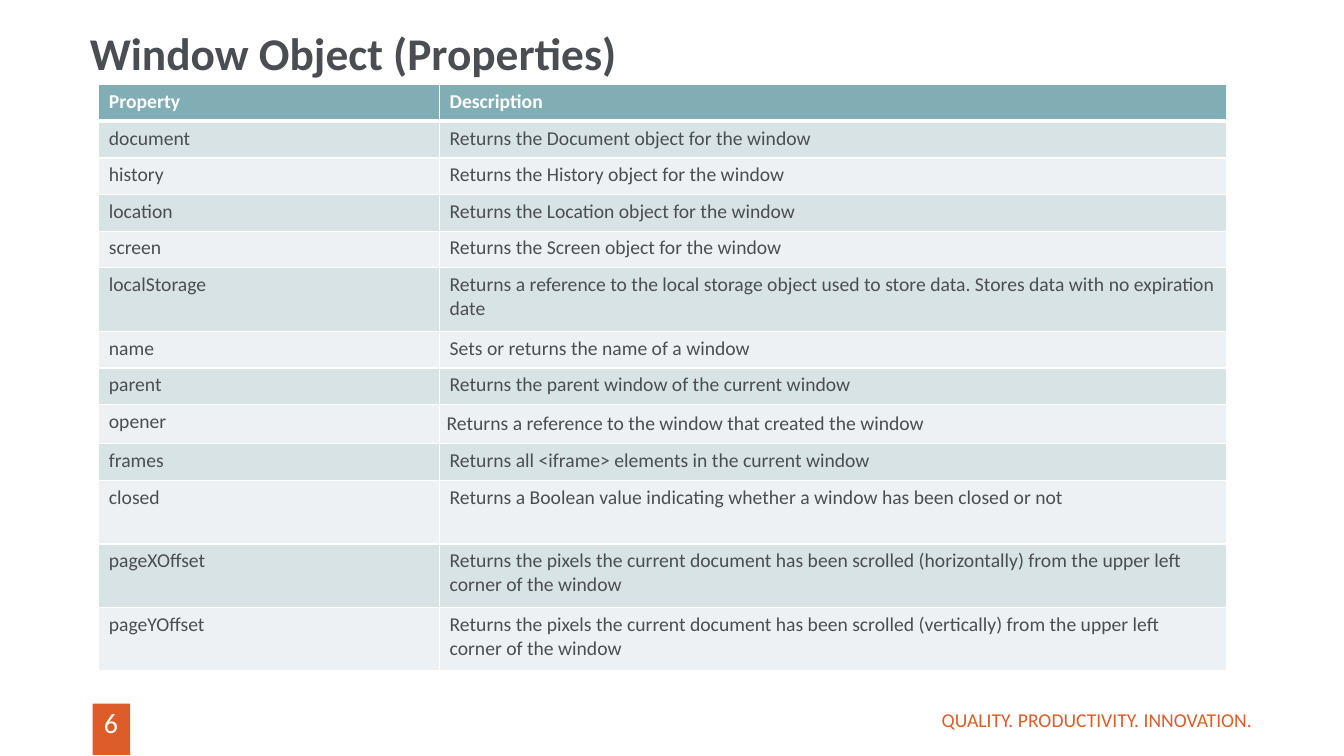
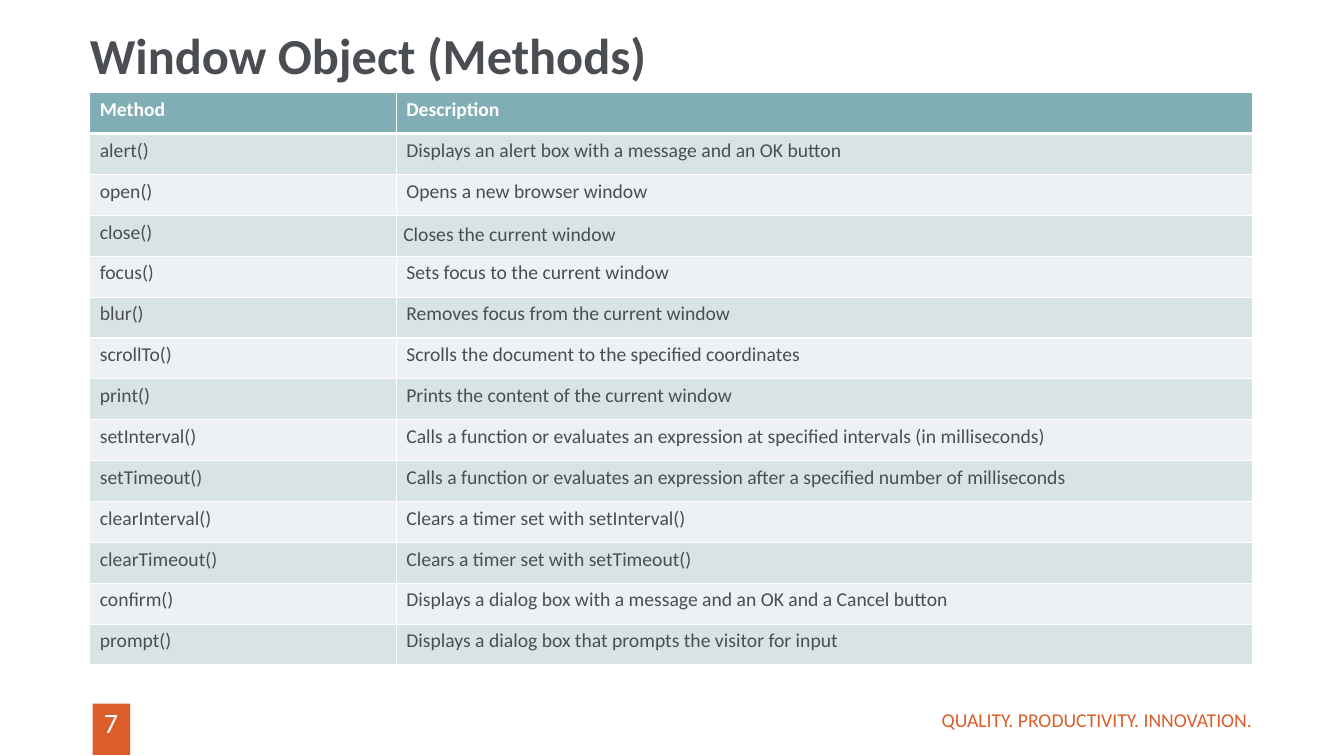
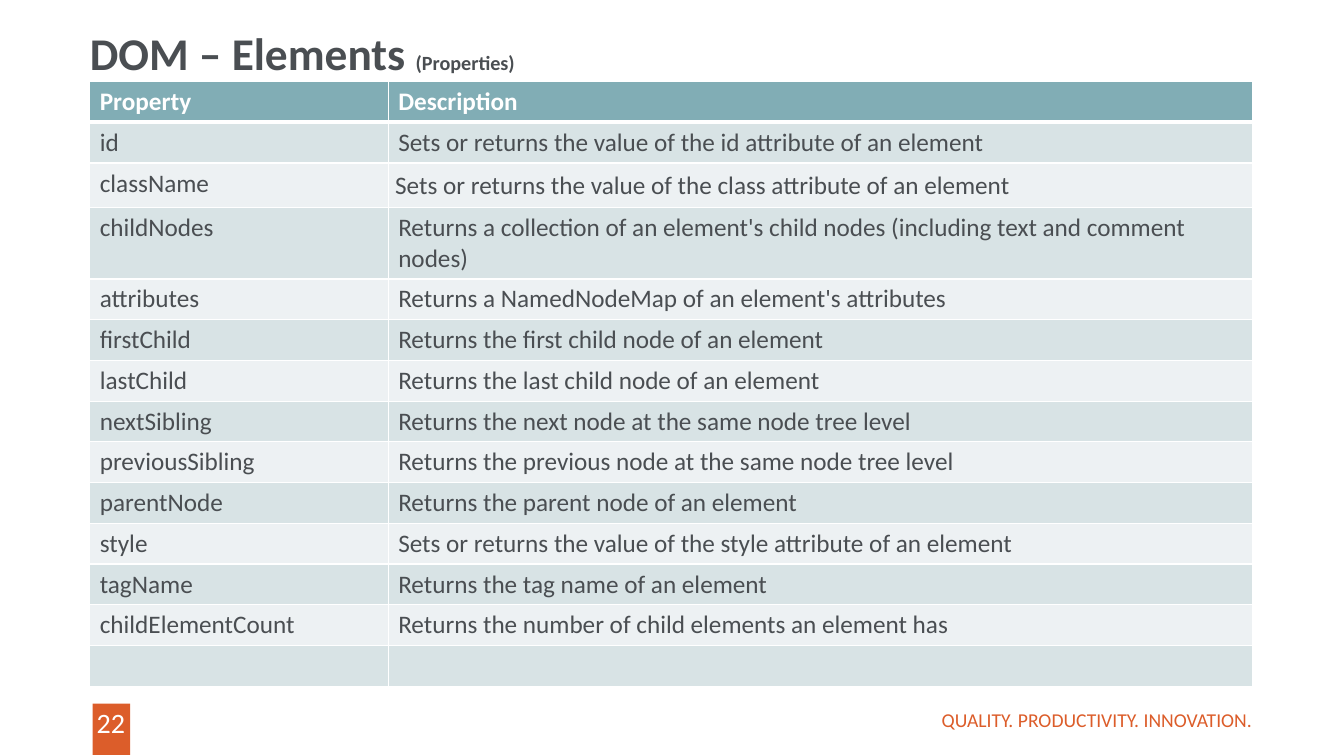
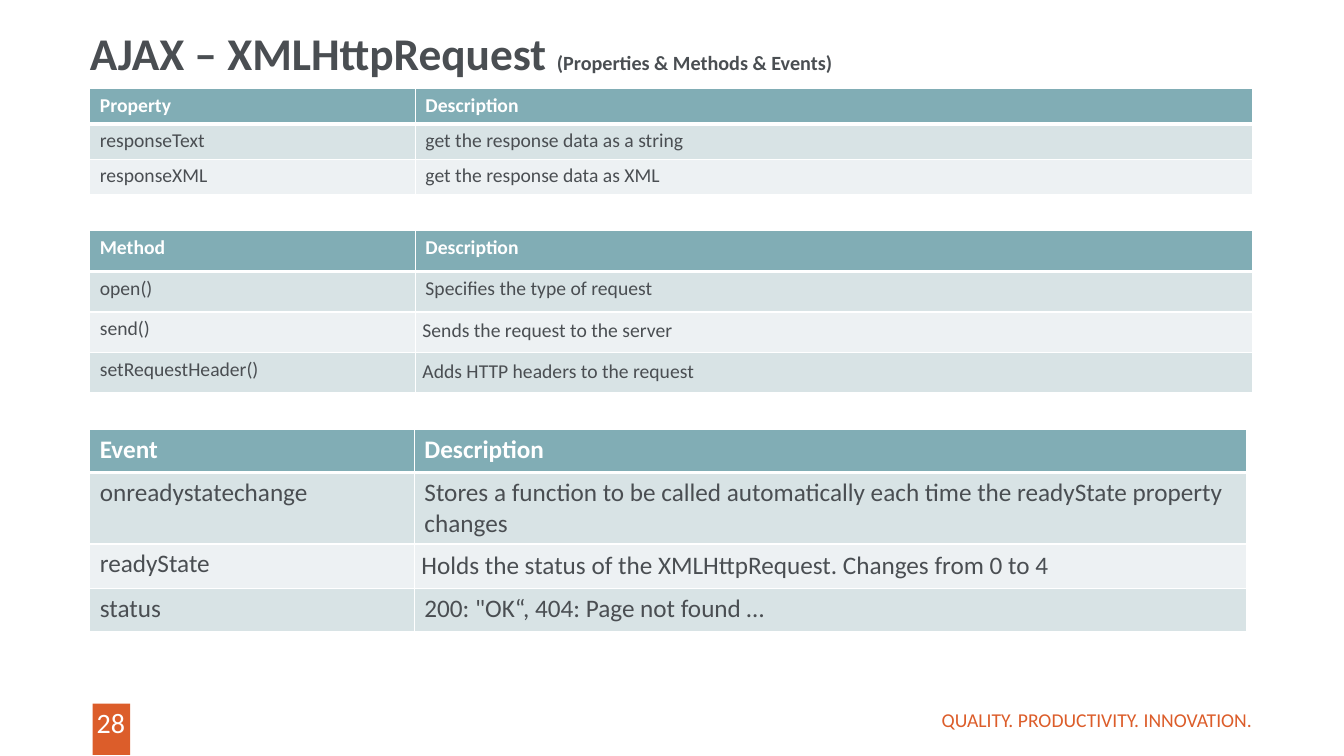
from lxml import etree
from pptx import Presentation
from pptx.dml.color import RGBColor
from pptx.enum.shapes import MSO_SHAPE as SHAPE
from pptx.enum.text import MSO_ANCHOR as ANCHOR, MSO_AUTO_SIZE as AUTO, PP_ALIGN as ALIGN
from pptx.oxml.ns import qn
from pptx.util import Pt

PX = 9144
FONT = "Calibri"
WHITE, INK, ORANGE = "FFFFFF", "4A4E52", "DC5D2A"
TEAL, BAND_DARK, BAND_LIGHT = "81ADB5", "D8E3E5", "EDF1F3"
LEFT, WIDTH = 89, 1153
TITLE_SIZE, NOTE_SIZE = 32.4, 14.4


def emu(*lengths):
    return [round(v * PX) for v in lengths]


def rgb(color):
    return RGBColor.from_string(color)


def style(p, size, color, bold=False):
    for r in p.runs:
        r.font.name = FONT
        r.font.size = Pt(size)
        r.font.bold = bold
        r.font.color.rgb = rgb(color)


def set_margins(box, left, top, right, bottom):
    box.margin_left, box.margin_top, box.margin_right, box.margin_bottom = emu(left, top, right, bottom)


def add_label(s, box, text, size, color, align, anchor=ANCHOR.TOP):
    tf = s.shapes.add_textbox(*emu(*box)).text_frame
    tf.word_wrap = True
    tf.vertical_anchor = anchor
    set_margins(tf, 0, 0, 0, 0)
    tf.text = text
    p = tf.paragraphs[0]
    p.alignment = align
    style(p, size, color)


def add_footer(s, number):
    badge = s.shapes.add_shape(SHAPE.RECTANGLE, *emu(92, 698, 37, 51))
    badge.shadow.inherit = False
    badge.fill.solid()
    badge.fill.fore_color.rgb = rgb(ORANGE)
    badge.line.fill.background()
    add_label(s, (86, 700, 48, 34), str(number), 20, WHITE, ALIGN.CENTER)
    add_label(s, (835, 694, 407, 40), "QUALITY. PRODUCTIVITY. INNOVATION.",
              14, ORANGE, ALIGN.RIGHT, ANCHOR.MIDDLE)


def set_title(s, text, note, size):
    title = s.shapes.title
    title.left, title.top, title.width, title.height = emu(LEFT, 26, 931, 63)
    tf = title.text_frame
    tf.auto_size = AUTO.NONE
    tf.word_wrap = True
    tf.vertical_anchor = ANCHOR.TOP
    set_margins(tf, 0, 5, 10, 5)
    tf.text = text
    p = tf.paragraphs[0]
    p.alignment = ALIGN.LEFT
    p.line_spacing = 0.9
    if note:
        p.add_run().text = note
    style(p, size, INK, True)
    if note:
        p.runs[1].font.size = Pt(NOTE_SIZE)


def add_slide(prs, number, text, note="", size=TITLE_SIZE):
    s = prs.slides.add_slide(prs.slide_layouts[5])
    set_title(s, text, note, size)
    add_footer(s, number)
    return s


def set_borders(cell, top, bottom):
    tc_pr = cell._tc.get_or_add_tcPr()
    for tag, width in (("lnL", 1), ("lnR", 1), ("lnT", top), ("lnB", bottom)):
        line = etree.SubElement(tc_pr, qn(f"a:{tag}"), w=str(Pt(width)))
        fill = etree.SubElement(line, qn("a:solidFill"))
        etree.SubElement(fill, qn("a:srgbClr"), val=WHITE)


def fill_cell(cell, row, text, size, inset):
    set_borders(cell, 3 if row == 1 else 1, 3 if row == 0 else 1)
    cell.fill.solid()
    cell.fill.fore_color.rgb = rgb(TEAL if row == 0 else BAND_DARK if row % 2 else BAND_LIGHT)
    if inset:
        set_margins(cell, 7, 7, 7, 7)
    cell.text = text
    style(cell.text_frame.paragraphs[0], size, WHITE if row == 0 else INK, row == 0)


def add_reference(s, box, first_width, rows, size=14, special=None, inset=()):
    special = special or {}
    height = box[3]
    regular = (height - sum(special.values())) / (len(rows) - len(special))
    table = s.shapes.add_table(len(rows), 2, *emu(*box)).table
    table.columns[0].width, table.columns[1].width = emu(first_width, box[2] - first_width)
    for i, row in enumerate(rows):
        table.rows[i].height, = emu(special.get(i, regular))
        for j, text in enumerate(row):
            fill_cell(table.cell(i, j), i, text, size, j == 1 and i in inset)


WINDOW_PROPERTIES = [
    ("Property", "Description"),
    ("document", "Returns the Document object for the window"),
    ("history", "Returns the History object for the window"),
    ("location", "Returns the Location object for the window"),
    ("screen", "Returns the Screen object for the window"),
    ("localStorage", "Returns a reference to the local storage object used to store data. "
                     "Stores data with no expiration date"),
    ("name", "Sets or returns the name of a window"),
    ("parent", "Returns the parent window of the current window"),
    ("opener", "Returns a reference to the window that created the window"),
    ("frames", "Returns all <iframe> elements in the current window"),
    ("closed", "Returns a Boolean value indicating whether a window has been closed or not"),
    ("pageXOffset", "Returns the pixels the current document has been scrolled (horizontally) "
                    "from the upper left corner of the window"),
    ("pageYOffset", "Returns the pixels the current document has been scrolled (vertically) "
                    "from the upper left corner of the window"),
]
WINDOW_METHODS = [
    ("Method", "Description"),
    ("alert()", "Displays an alert box with a message and an OK button"),
    ("open()", "Opens a new browser window"),
    ("close()", "Closes the current window"),
    ("focus()", "Sets focus to the current window"),
    ("blur()", "Removes focus from the current window"),
    ("scrollTo()", "Scrolls the document to the specified coordinates"),
    ("print()", "Prints the content of the current window"),
    ("setInterval()", "Calls a function or evaluates an expression at specified intervals (in milliseconds)"),
    ("setTimeout()", "Calls a function or evaluates an expression after a specified number of milliseconds"),
    ("clearInterval()", "Clears a timer set with setInterval()"),
    ("clearTimeout()", "Clears a timer set with setTimeout()"),
    ("confirm()", "Displays a dialog box with a message and an OK and a Cancel button"),
    ("prompt()", "Displays a dialog box that prompts the visitor for input"),
]
ELEMENT_PROPERTIES = [
    ("Property", "Description"),
    ("id", "Sets or returns the value of the id attribute of an element"),
    ("className", "Sets or returns the value of the class attribute of an element"),
    ("childNodes", "Returns a collection of an element's child nodes (including text and comment nodes)"),
    ("attributes", "Returns a NamedNodeMap of an element's attributes"),
    ("firstChild", "Returns the first child node of an element"),
    ("lastChild", "Returns the last child node of an element"),
    ("nextSibling", "Returns the next node at the same node tree level"),
    ("previousSibling", "Returns the previous node at the same node tree level"),
    ("parentNode", "Returns the parent node of an element"),
    ("style", "Sets or returns the value of the style attribute of an element"),
    ("tagName", "Returns the tag name of an element"),
    ("childElementCount", "Returns the number of child elements an element has"),
    ("", ""),
]
REQUEST_PROPERTIES = [
    ("Property", "Description"),
    ("responseText", "get the response data as a string"),
    ("responseXML", "get the response data as XML"),
]
REQUEST_METHODS = [
    ("Method", "Description"),
    ("open()", "Specifies the type of request"),
    ("send()", "Sends the request to the server"),
    ("setRequestHeader()", "Adds HTTP headers to the request"),
]
REQUEST_EVENTS = [
    ("Event", "Description"),
    ("onreadystatechange", "Stores a function to be called automatically each time the readyState property changes"),
    ("readyState", "Holds the status of the XMLHttpRequest. Changes from 0 to 4"),
    ("status", "200: \"OK“, 404: Page not found …"),
]


def main():
    prs = Presentation()
    prs.slide_width, prs.slide_height = emu(1333, 750)

    s = add_slide(prs, 6, "Window Object (Properties)")
    add_reference(s, (98, 84, 1119, 582), 338, WINDOW_PROPERTIES,
                  special={5: 63, 8: 39, 10: 63, 11: 63, 12: 63}, inset=(8,))

    s = add_slide(prs, 7, "Window Object (Methods)", size=36)
    add_reference(s, (LEFT, 92, WIDTH, 568), 304, WINDOW_METHODS, inset=(3,))

    s = add_slide(prs, 22, "DOM – Elements ", "(Properties)")
    add_reference(s, (LEFT, 81, WIDTH, 600), 296, ELEMENT_PROPERTIES, 18,
                  special={2: 44, 3: 71}, inset=(2,))

    s = add_slide(prs, 28, "AJAX – XMLHttpRequest ", "(Properties & Methods & Events)")
    add_reference(s, (LEFT, 88, WIDTH, 105), 323, REQUEST_PROPERTIES)
    add_reference(s, (LEFT, 229, WIDTH, 161), 323, REQUEST_METHODS, inset=(2, 3))
    add_reference(s, (LEFT, 426, 1147, 199), 322, REQUEST_EVENTS, 18,
                  special={1: 71}, inset=(2,))

    prs.save("out.pptx")


if __name__ == "__main__":
    main()
